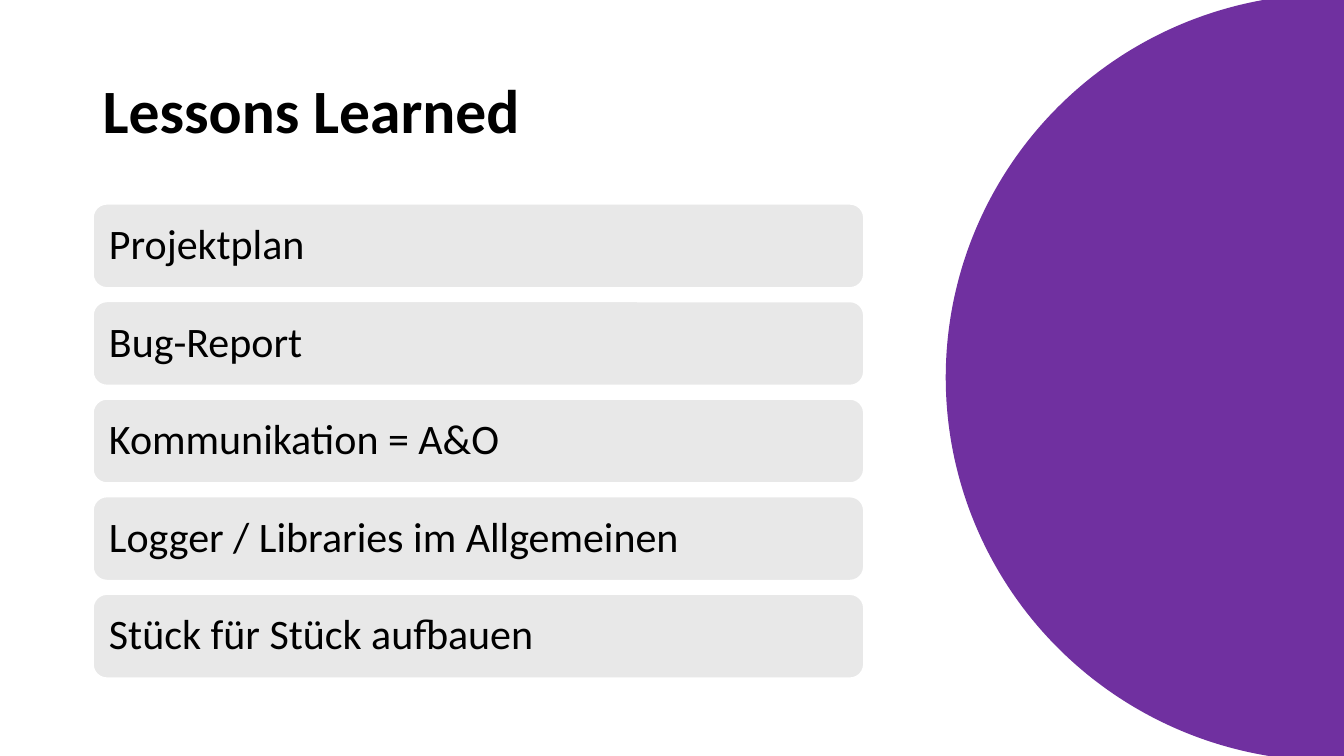
from pptx import Presentation
from pptx.dml.color import RGBColor
from pptx.enum.shapes import MSO_SHAPE as SHAPE
from pptx.enum.text import MSO_ANCHOR as ANCHOR, PP_ALIGN as ALIGN
from pptx.util import Inches, Pt

BLACK = RGBColor(0x00, 0x00, 0x00)
WHITE = RGBColor(0xFF, 0xFF, 0xFF)
GREY = RGBColor(0xE8, 0xE8, 0xE8)
PURPLE = RGBColor(0x70, 0x30, 0xA0)

WIDTH, HEIGHT = 13.33, 7.5
LEFT, LIST_WIDTH = 0.92, 7.65
LESSONS = [
    "Projektplan",
    "Bug-Report",
    "Kommunikation = A&O",
    "Logger / Libraries im Allgemeinen",
    "Stück für Stück aufbauen",
]


def write(sp, text, size, inset, bold=False):
    """Set one left-aligned, vertically centred line of text in a shape."""
    tf = sp.text_frame
    tf.word_wrap = True
    tf.vertical_anchor = ANCHOR.MIDDLE
    tf.margin_left = tf.margin_right = Inches(inset)
    p = tf.paragraphs[0]
    p.text = text
    p.alignment = ALIGN.LEFT
    p.line_spacing = 0.9
    font = p.runs[0].font
    font.name, font.size, font.bold = "Calibri", Pt(size), bold
    font.color.rgb = BLACK


def add_filled(s, kind, box, color):
    """Add a flat preset shape without an outline."""
    sp = s.shapes.add_shape(kind, *map(Inches, box))
    sp.shadow.inherit = False
    sp.fill.solid()
    sp.fill.fore_color.rgb = color
    sp.line.fill.background()
    return sp


def add_title(s, box, text):
    """Place the slide title in the box."""
    write(s.shapes.add_textbox(*map(Inches, box)), text, 44, 0.1, bold=True)


def add_lessons(s, box, lessons, gap):
    """Stack one rounded bar per lesson with equal gaps in the box."""
    left, top, width, height = box
    pitch = (height + gap) / len(lessons)
    for i, lesson in enumerate(lessons):
        bar_box = (left, top + i * pitch, width, pitch - gap)
        bar = add_filled(s, SHAPE.ROUNDED_RECTANGLE, bar_box, GREY)
        bar.line.color.rgb = WHITE
        bar.line.width = Pt(1.5)
        write(bar, lesson, 30, 0.12)


def main():
    """Build and save the slide."""
    prs = Presentation()
    prs.slide_width, prs.slide_height = Inches(WIDTH), Inches(HEIGHT)
    s = prs.slides.add_slide(prs.slide_layouts[6])
    add_title(s, (LEFT, 0.4, 11.5, 1.45), "Lessons Learned")
    add_filled(s, SHAPE.OVAL, (9.38, -0.06, 7.65, 7.61), PURPLE)
    add_lessons(s, (LEFT, 2.02, LIST_WIDTH, 4.71), LESSONS, 0.13)
    prs.save("out.pptx")


if __name__ == "__main__":
    main()
